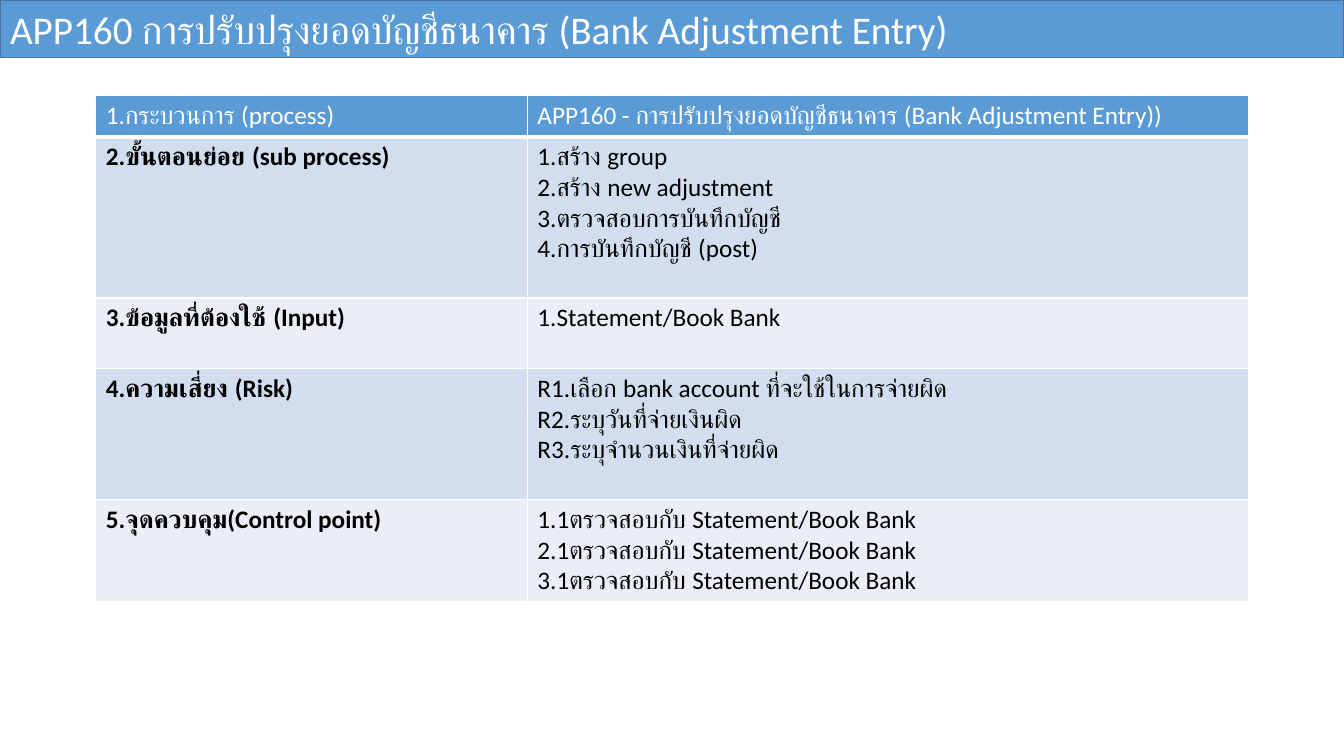
from dataclasses import dataclass

import pptx
import pptx.dml.color
import pptx.enum.text
import pptx.oxml
import pptx.oxml.ns
import pptx.util


@dataclass(frozen=True)
class Theme:
    font: str = "Calibri"
    title_size: int = 28
    cell_size: int = 18
    accent: str = "5B9BD5"
    outline: str = "43739E"
    bands: tuple[str, str] = ("D2DEEF", "EAEFF7")
    white: str = "FFFFFF"
    black: str = "000000"
    border: int = 1
    header_border: int = 3


@dataclass(frozen=True)
class ProcessRow:
    label: str
    details: tuple[str, ...]
    lines: int


THEME = Theme()
WIDTH = pptx.util.Inches(13.33)
HEIGHT = pptx.util.Inches(7.5)
BAR_HEIGHT = 7.6
TABLE_LEFT = 7.13
TABLE_TOP = 12.67
COLUMNS = (32.11, 53.64)
LINE_HEIGHT = 4
CELL_PADDING = 1.33

TITLE = "APP160 การปรับปรุงยอดบัญชีธนาคาร (Bank Adjustment Entry)"
ROWS = (
    ProcessRow(
        "1.กระบวนการ (process)",
        ("APP160 - การปรับปรุงยอดบัญชีธนาคาร (Bank Adjustment Entry))",),
        1,
    ),
    ProcessRow(
        "2.ขั้นตอนย่อย (sub process)",
        (
            "1.สร้าง group",
            "2.สร้าง new adjustment",
            "3.ตรวจสอบการบันทึกบัญชี",
            "4.การบันทึกบัญชี (post)",
        ),
        5,
    ),
    ProcessRow("3.ข้อมูลที่ต้องใช้ (Input)", ("1.Statement/Book Bank",), 2),
    ProcessRow(
        "4.ความเสี่ยง (Risk)",
        (
            "R1.เลือก bank account ที่จะใช้ในการจ่ายผิด",
            "R2.ระบุวันที่จ่ายเงินผิด",
            "R3.ระบุจำนวนเงินที่จ่ายผิด",
        ),
        4,
    ),
    ProcessRow(
        "5.จุดควบคุม(Control point)",
        tuple(f"{n}.1ตรวจสอบกับ Statement/Book Bank" for n in (1, 2, 3)),
        3,
    ),
)


def across(percent: float) -> int:
    return round(WIDTH * percent / 100)


def down(percent: float) -> int:
    return round(HEIGHT * percent / 100)


def rgb(color: str) -> pptx.dml.color.RGBColor:
    return pptx.dml.color.RGBColor.from_string(color)


def write(tf, lines: tuple[str, ...], size: int, color: str, bold: bool = False) -> None:
    for i, line in enumerate(lines):
        p = tf.add_paragraph() if i else tf.paragraphs[0]
        p.alignment = pptx.enum.text.PP_ALIGN.LEFT
        r = p.add_run()
        r.text = line
        r.font.name = THEME.font
        r.font.size = pptx.util.Pt(size)
        r.font.bold = bold
        r.font.color.rgb = rgb(color)


def set_borders(cell, bottom: int) -> None:
    tc_pr = cell._tc.get_or_add_tcPr()
    widths = {"lnL": THEME.border, "lnR": THEME.border, "lnT": THEME.border, "lnB": bottom}
    for i, (side, width) in enumerate(widths.items()):
        tc_pr.insert(i, pptx.oxml.parse_xml(
            f'<a:{side} {pptx.oxml.ns.nsdecls("a")} w="{pptx.util.Pt(width)}">'
            f'<a:solidFill><a:srgbClr val="{THEME.white}"/></a:solidFill></a:{side}>'
        ))


def draw_title(slide) -> None:
    sp = slide.shapes.title
    sp.left, sp.top, sp.width, sp.height = 0, 0, WIDTH, down(BAR_HEIGHT)
    sp.fill.solid()
    sp.fill.fore_color.rgb = rgb(THEME.accent)
    sp.line.color.rgb = rgb(THEME.outline)
    sp.line.width = pptx.util.Pt(1)
    tf = sp.text_frame
    tf.word_wrap = True
    tf.auto_size = pptx.enum.text.MSO_AUTO_SIZE.NONE
    tf.vertical_anchor = pptx.enum.text.MSO_ANCHOR.MIDDLE
    write(tf, (TITLE,), THEME.title_size, THEME.white)


def draw_table(slide) -> None:
    heights = [down(row.lines * LINE_HEIGHT + CELL_PADDING) for row in ROWS]
    table = slide.shapes.add_table(
        len(ROWS), len(COLUMNS), across(TABLE_LEFT), down(TABLE_TOP),
        across(sum(COLUMNS)), sum(heights),
    ).table
    for column, share in zip(table.columns, COLUMNS):
        column.width = across(share)
    for i, (row, height) in enumerate(zip(ROWS, heights)):
        table.rows[i].height = height
        header = i == 0
        fill = THEME.accent if header else THEME.bands[(i - 1) % 2]
        color = THEME.white if header else THEME.black
        for j, lines in enumerate(((row.label,), row.details)):
            cell = table.cell(i, j)
            cell.fill.solid()
            cell.fill.fore_color.rgb = rgb(fill)
            set_borders(cell, THEME.header_border if header else THEME.border)
            write(cell.text_frame, lines, THEME.cell_size, color, not header and j == 0)


def main() -> None:
    prs = pptx.Presentation()
    prs.slide_width, prs.slide_height = WIDTH, HEIGHT
    slide = prs.slides.add_slide(prs.slide_layouts[5])
    draw_title(slide)
    draw_table(slide)
    prs.save("out.pptx")


if __name__ == "__main__":
    main()
